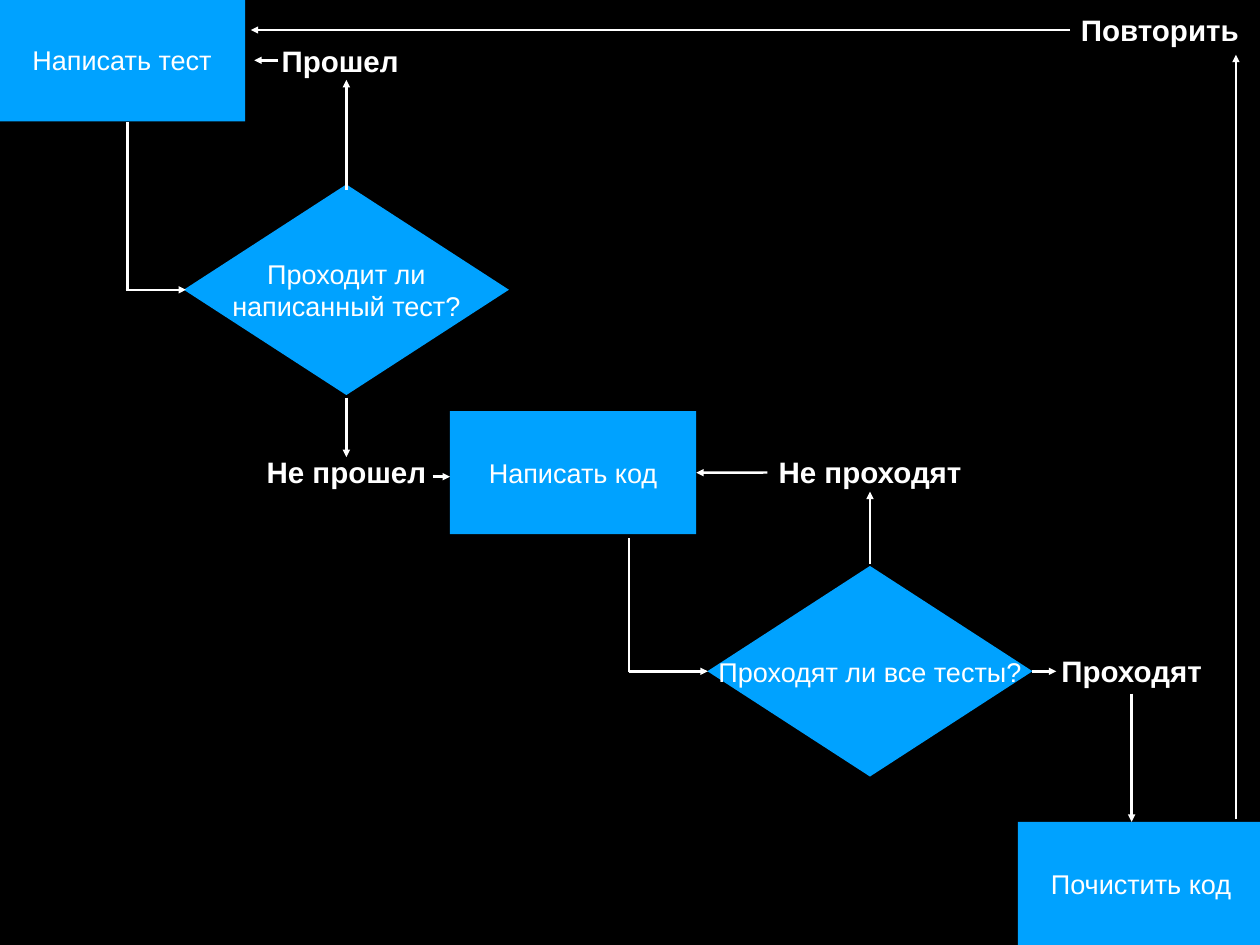
"""Build a one-slide flowchart of the test-driven development cycle."""
from pptx import Presentation
from pptx.dml.color import RGBColor
from pptx.enum.shapes import MSO_CONNECTOR as CONN, MSO_SHAPE as SHAPE
from pptx.enum.text import MSO_ANCHOR as ANCHOR, PP_ALIGN as ALIGN
from pptx.oxml.ns import qn
from pptx.util import Cm, Pt
from lxml.etree import SubElement

COLORS = {"back": "000000", "node": "00A2FF", "ink": "FFFFFF"}


def rgb(name):
    return RGBColor.from_string(COLORS[name])


class Flowchart:
    font = "Arial"
    node_size = 22
    label_size = 24
    line_width = 2
    inset = 0.14
    step_w, step_h = 7.06, 3.53
    choice_w, choice_h = 9.32, 6.04
    label_h = 1.27

    def __init__(self, slide):
        self.s = slide
        fill = slide.background.fill
        fill.solid()
        fill.fore_color.rgb = rgb("back")

    def set_text(self, sp, text, size, bold=False, wrap=True):
        tf = sp.text_frame
        tf.text = text
        tf.word_wrap = wrap
        tf.vertical_anchor = ANCHOR.MIDDLE
        tf.margin_left = tf.margin_right = Cm(self.inset)
        tf.margin_top = tf.margin_bottom = Cm(self.inset)
        p = tf.paragraphs[0]
        p.alignment = ALIGN.CENTER
        r = p.runs[0]
        r.font.name = self.font
        r.font.size = Pt(size)
        r.font.bold = bold
        r.font.color.rgb = rgb("ink")

    def node(self, sp, text):
        sp.shadow.inherit = False
        sp.fill.solid()
        sp.fill.fore_color.rgb = rgb("node")
        sp.line.fill.background()
        self.set_text(sp, text, self.node_size)
        return sp

    def step(self, text, x, y):
        sp = self.s.shapes.add_shape(
            SHAPE.RECTANGLE, Cm(x), Cm(y), Cm(self.step_w), Cm(self.step_h))
        return self.node(sp, text)

    def choice(self, text, cx, cy):
        dx, dy = self.choice_w / 2, self.choice_h / 2
        fb = self.s.shapes.build_freeform(Cm(cx - dx), Cm(cy))
        corners = [(cx, cy + dy), (cx + dx, cy), (cx, cy - dy)]
        fb.add_line_segments([(Cm(x), Cm(y)) for x, y in corners], close=True)
        return self.node(fb.convert_to_shape(), text)

    def label(self, text, cx, cy, w):
        sp = self.s.shapes.add_textbox(
            Cm(cx - w / 2), Cm(cy - self.label_h / 2), Cm(w), Cm(self.label_h))
        self.set_text(sp, text, self.label_size, bold=True, wrap=False)

    def line(self, x1, y1, x2, y2, arrow=True):
        c = self.s.shapes.add_connector(
            CONN.STRAIGHT, Cm(x1), Cm(y1), Cm(x2), Cm(y2))
        c.line.color.rgb = rgb("ink")
        c.line.width = Pt(self.line_width)
        sp_pr = c._element.spPr
        if arrow:
            SubElement(sp_pr.find(qn("a:ln")), qn("a:tailEnd"), type="triangle")
        SubElement(sp_pr, qn("a:effectLst"))
        return c


def main():
    prs = Presentation()
    prs.slide_width, prs.slide_height = Cm(36.12), Cm(27.1)
    chart = Flowchart(prs.slides.add_slide(prs.slide_layouts[6]))

    chart.step("Написать тест", -0.03, -0.05)
    code_step = chart.step("Написать код", 12.9, 11.79)
    chart.step("Почистить код", 29.18, 23.57)
    chart.choice("Проходит ли написанный тест?", 9.93, 8.31)
    chart.choice("Проходят ли все тесты?", 24.94, 19.25)

    for text, cx, cy, w in [
        ("Прошел", 9.75, 1.73, 3.66),
        ("Не прошел", 9.93, 13.54, 4.88),
        ("Не проходят", 24.94, 13.54, 5.84),
        ("Проходят", 32.44, 19.23, 4.37),
        ("Повторить", 33.25, 0.86, 4.88),
    ]:
        chart.label(text, cx, cy, w)

    for ends in [
        (7.98, 1.73, 7.29, 1.73),
        (9.93, 5.44, 9.93, 2.29),
        (3.6, 8.31, 5.33, 8.31),
        (12.4, 13.67, 12.9, 13.67),
        (9.93, 11.4, 9.93, 13.11),
        (18.03, 19.25, 20.29, 19.25),
        (24.94, 16.18, 24.94, 14.1),
        (29.59, 19.25, 30.28, 19.25),
        (32.44, 19.89, 32.44, 23.57),
        (30.68, 0.86, 7.19, 0.86),
        (35.43, 23.5, 35.43, 1.57),
    ]:
        chart.line(*ends)
    chart.line(3.65, 8.31, 3.65, 3.5, arrow=False)
    chart.line(18.03, 19.28, 18.03, 15.42, arrow=False)
    chart.line(22, 13.55, 19.96, 13.55).end_connect(code_step, 3)

    prs.save("out.pptx")


if __name__ == "__main__":
    main()
